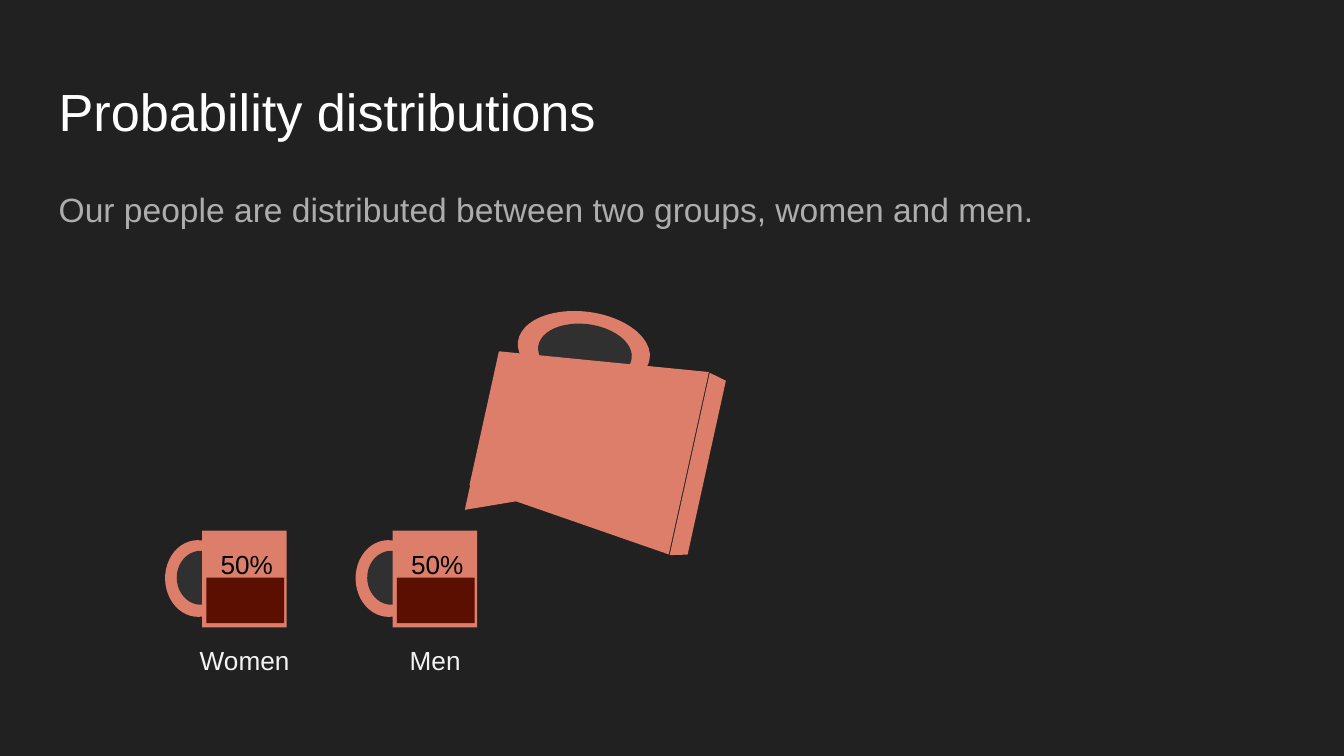
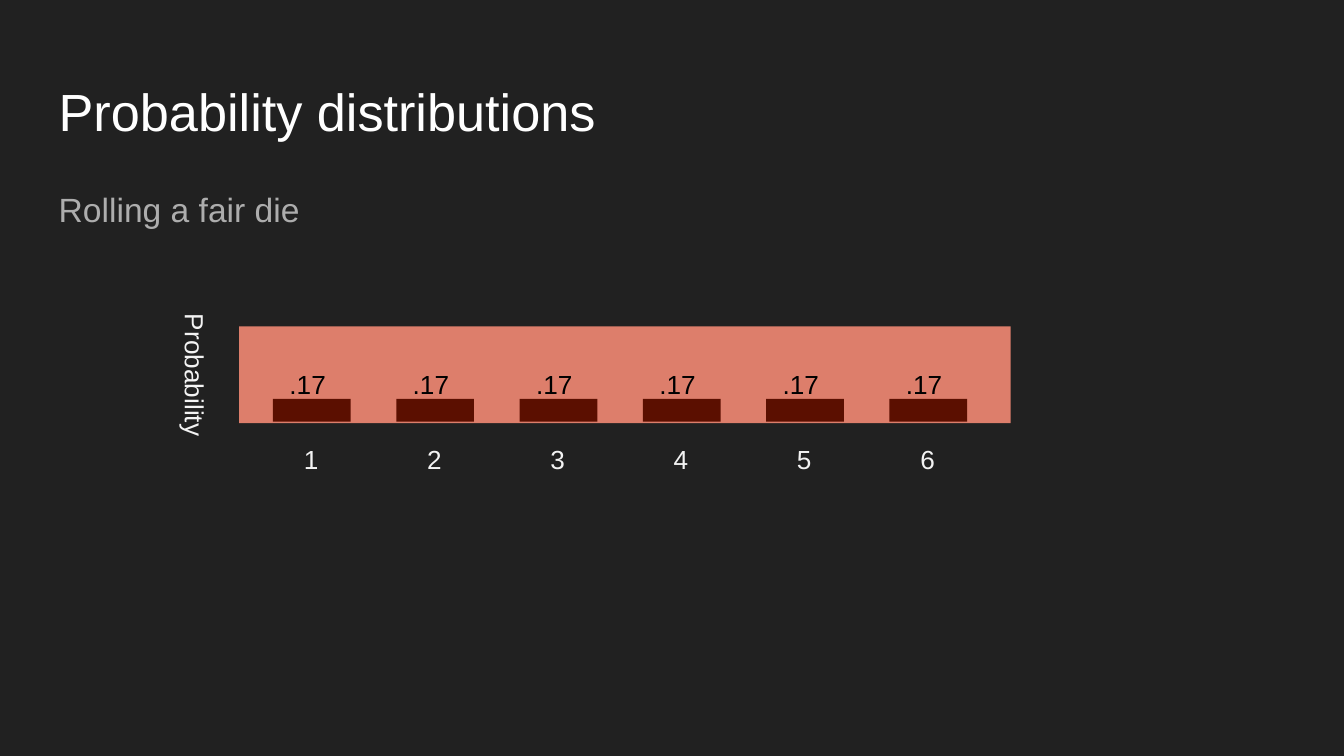
import dataclasses
from typing import Any, Optional

import pptx
import pptx.dml.color
import pptx.enum.shapes
import pptx.enum.text
import pptx.util

Cm = pptx.util.Cm
SHAPE = pptx.enum.shapes.MSO_SHAPE
ALIGN = pptx.enum.text.PP_ALIGN


@dataclasses.dataclass(frozen=True)
class Theme:
    font: str = "Arial"
    background: str = "212121"
    title: str = "FFFFFF"
    body: str = "ADADAD"
    label: str = "F3F3F3"
    value: str = "000000"
    coral: str = "DD7E6B"
    hollow: str = "303030"
    coffee: str = "5B0F00"
    title_size: int = 28
    body_size: int = 18
    label_size: int = 14


@dataclasses.dataclass(frozen=True)
class Area:
    left: float
    top: float
    width: float
    height: float

    def shifted(self, distance: float) -> "Area":
        return dataclasses.replace(self, left=self.left + distance)

    def lengths(self) -> tuple:
        return Cm(self.left), Cm(self.top), Cm(self.width), Cm(self.height)


@dataclasses.dataclass(frozen=True)
class Part:
    kind: Any
    area: Area
    color: str
    rotation: float = 0
    adjustment: Optional[float] = None


THEME = Theme()
TITLE_AREA = Area(0.86, 1.24, 23.67, 1.6)

BAG = (
    Part(SHAPE.TRAPEZOID, Area(11.43, 8.64, 3.53, 0.33), THEME.coral, 102.4, 0.25),
    Part(SHAPE.RIGHT_TRIANGLE, Area(9.22, 8.86, 0.53, 1.32), THEME.coral, 102.4),
    Part(SHAPE.OVAL, Area(10.31, 5.36, 1.45, 2.51), THEME.coral, 277.4),
    Part(SHAPE.OVAL, Area(10.52, 5.77, 1.07, 1.78), THEME.hollow, 277.4),
    Part(SHAPE.TRAPEZOID, Area(9.32, 6.35, 3.53, 3.96), THEME.coral, 282.4, 0.133),
)

MUG = (
    Part(SHAPE.OVAL, Area(3.12, 10.21, 1.24, 1.45), THEME.coral, 178.7),
    Part(SHAPE.OVAL, Area(3.34, 10.41, 0.91, 1.02), THEME.hollow, 178.7),
    Part(SHAPE.RECTANGLE, Area(3.82, 10.03, 1.6, 1.83), THEME.coral),
)
COFFEE = Part(SHAPE.RECTANGLE, Area(3.9, 10.92, 1.47, 0.86), THEME.coffee)
MUG_VALUE = Area(3.92, 10.11, 2.26, 1.63)
MUG_LABEL = Area(3.28, 11.94, 2.69, 1.63)
MUG_PITCH = 3.6

BAND = Part(SHAPE.RECTANGLE, Area(4.52, 6.17, 14.58, 1.83), THEME.coral)
BAR = Part(SHAPE.RECTANGLE, Area(5.16, 7.54, 1.47, 0.43), THEME.coffee)
BAR_VALUE = Area(5.18, 6.71, 1.27, 0.97)
BAR_LABEL = Area(4.24, 8.13, 3.28, 1.63)
AXIS_LABEL = Area(1.63, 6.43, 3.89, 1.32)
BAR_PITCH = 2.33


def write(box: Any, text: str, *, color: str, size: int = THEME.label_size,
          align: Any = ALIGN.LEFT, line_spacing: float = 1.0,
          space_after: float = 0, bullet_free: bool = False) -> None:
    frame = box.text_frame
    frame.word_wrap = True
    frame.auto_size = pptx.enum.text.MSO_AUTO_SIZE.NONE
    frame.vertical_anchor = pptx.enum.text.MSO_ANCHOR.TOP
    frame.margin_left = frame.margin_right = Cm(0.25)
    frame.margin_top = frame.margin_bottom = Cm(0.25)
    para = frame.paragraphs[0]
    if bullet_free:
        properties = para._p.get_or_add_pPr()
        properties.set("marL", "0")
        properties.set("indent", "0")
        properties.append(pptx.oxml.parse_xml(
            '<a:buNone xmlns:a="http://schemas.openxmlformats.org/drawingml/2006/main"/>'))
    para.alignment = align
    para.line_spacing = line_spacing
    para.space_before = pptx.util.Pt(0)
    para.space_after = pptx.util.Pt(space_after)
    span = para.add_run()
    span.text = text
    span.font.name = THEME.font
    span.font.size = pptx.util.Pt(size)
    span.font.color.rgb = pptx.dml.color.RGBColor.from_string(color)


def place(box: Any, area: Area) -> None:
    box.left, box.top, box.width, box.height = area.lengths()


def add_page(deck: Any, body: str, body_height: float) -> Any:
    page = deck.slides.add_slide(deck.slide_layouts[1])
    page.background.fill.solid()
    page.background.fill.fore_color.rgb = pptx.dml.color.RGBColor.from_string(THEME.background)
    title_box, body_box = page.shapes.title, page.placeholders[1]
    place(title_box, TITLE_AREA)
    write(title_box, "Probability distributions", color=THEME.title, size=THEME.title_size)
    place(body_box, dataclasses.replace(TITLE_AREA, top=3.2, height=body_height))
    write(body_box, body, color=THEME.body, size=THEME.body_size,
          line_spacing=1.15, space_after=16, bullet_free=True)
    return page


def add_part(shapes: Any, part: Part, distance: float = 0) -> None:
    shape = shapes.add_shape(part.kind, *part.area.shifted(distance).lengths())
    shape.shadow.inherit = False
    shape.fill.solid()
    shape.fill.fore_color.rgb = pptx.dml.color.RGBColor.from_string(part.color)
    shape.line.fill.background()
    shape.rotation = part.rotation
    if part.adjustment is not None:
        shape.adjustments[0] = part.adjustment


def add_group(page: Any, parts: tuple, distance: float = 0) -> None:
    group = page.shapes.add_group_shape()
    for part in parts:
        add_part(group.shapes, part, distance)


def add_label(page: Any, area: Area, text: str, *, color: str = THEME.label,
              align: Any = ALIGN.CENTER, rotation: float = 0) -> None:
    box = page.shapes.add_textbox(*area.lengths())
    box.rotation = rotation
    write(box, text, color=color, align=align)


def add_groups_page(deck: Any) -> None:
    page = add_page(deck, "Our people are distributed between two groups, women and men.", 9.5)
    add_group(page, BAG)
    for index, name in enumerate(("Women", "Men")):
        distance = index * MUG_PITCH
        add_group(page, MUG, distance)
        add_part(page.shapes, COFFEE, distance)
        add_label(page, MUG_VALUE.shifted(distance), "50%", color=THEME.value, align=ALIGN.LEFT)
        add_label(page, MUG_LABEL.shifted(distance), name)


def add_die_page(deck: Any) -> None:
    page = add_page(deck, "Rolling a fair die", 1.6)
    add_part(page.shapes, BAND)
    for index in range(6):
        distance = index * BAR_PITCH
        add_label(page, BAR_LABEL.shifted(distance), str(index + 1))
        add_part(page.shapes, BAR, distance)
        add_label(page, BAR_VALUE.shifted(distance), ".17", color=THEME.value)
    add_label(page, AXIS_LABEL, "Probability", rotation=90)


def main() -> None:
    deck = pptx.Presentation()
    deck.slide_width, deck.slide_height = Cm(25.4), Cm(14.29)
    add_groups_page(deck)
    add_die_page(deck)
    deck.save("out.pptx")


if __name__ == "__main__":
    main()
